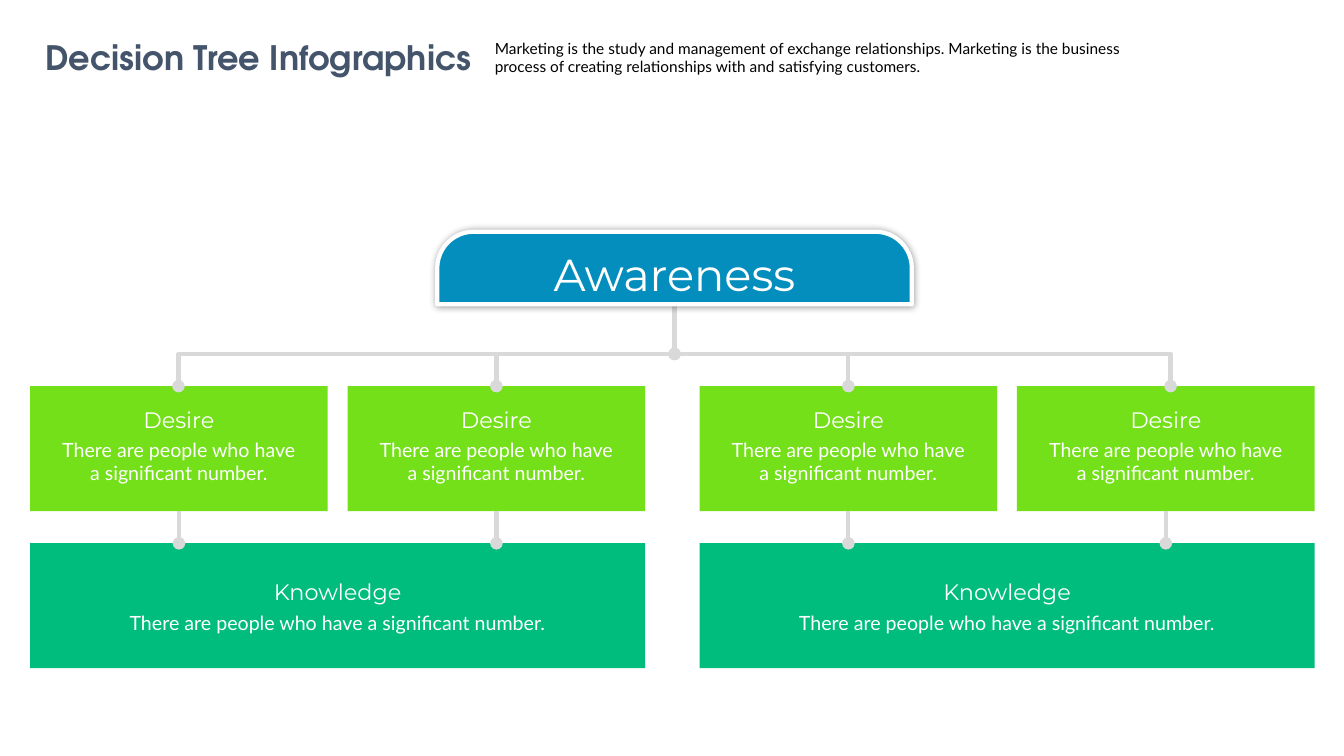
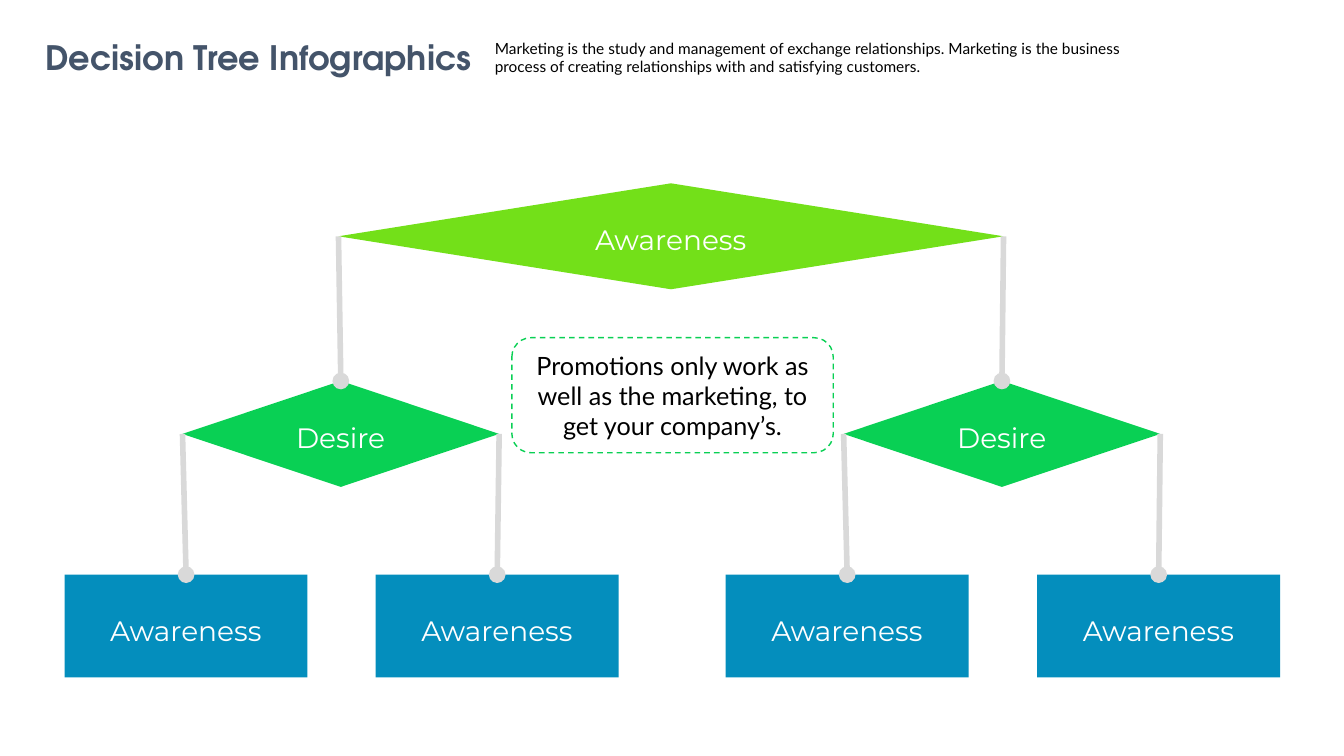
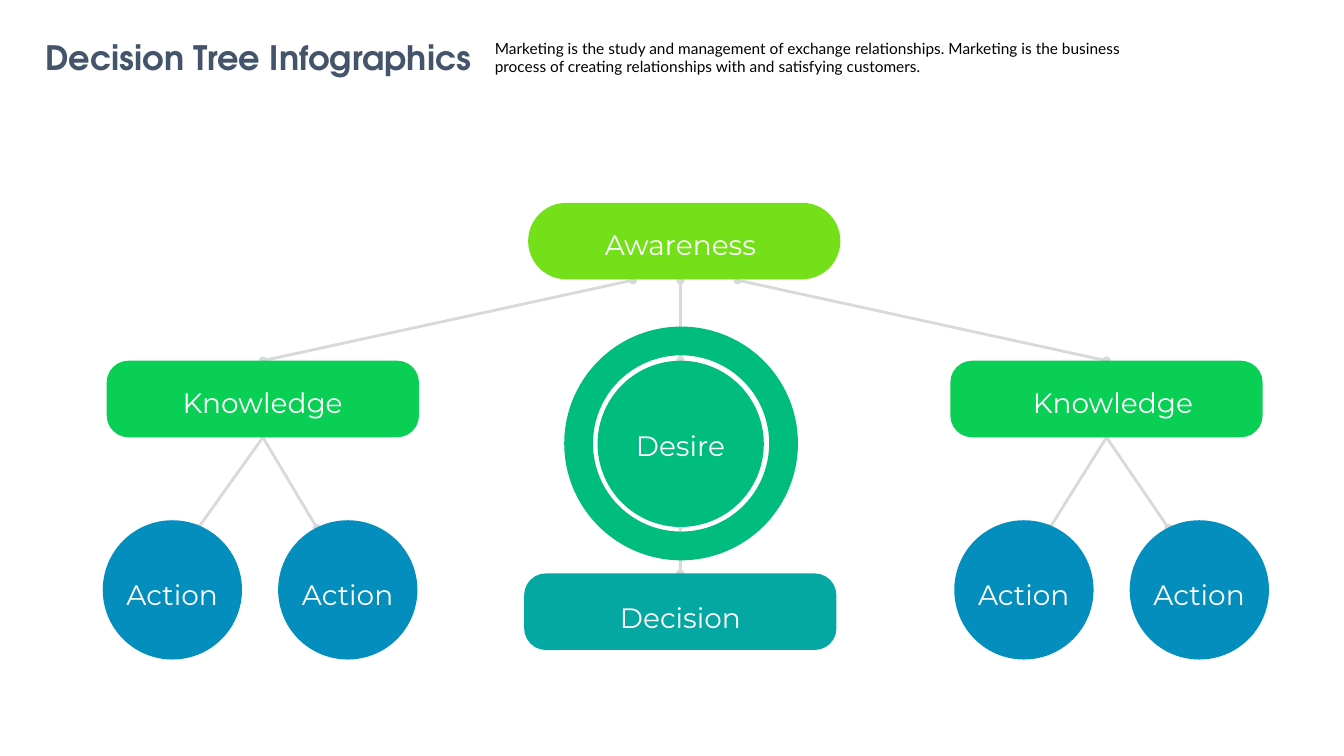
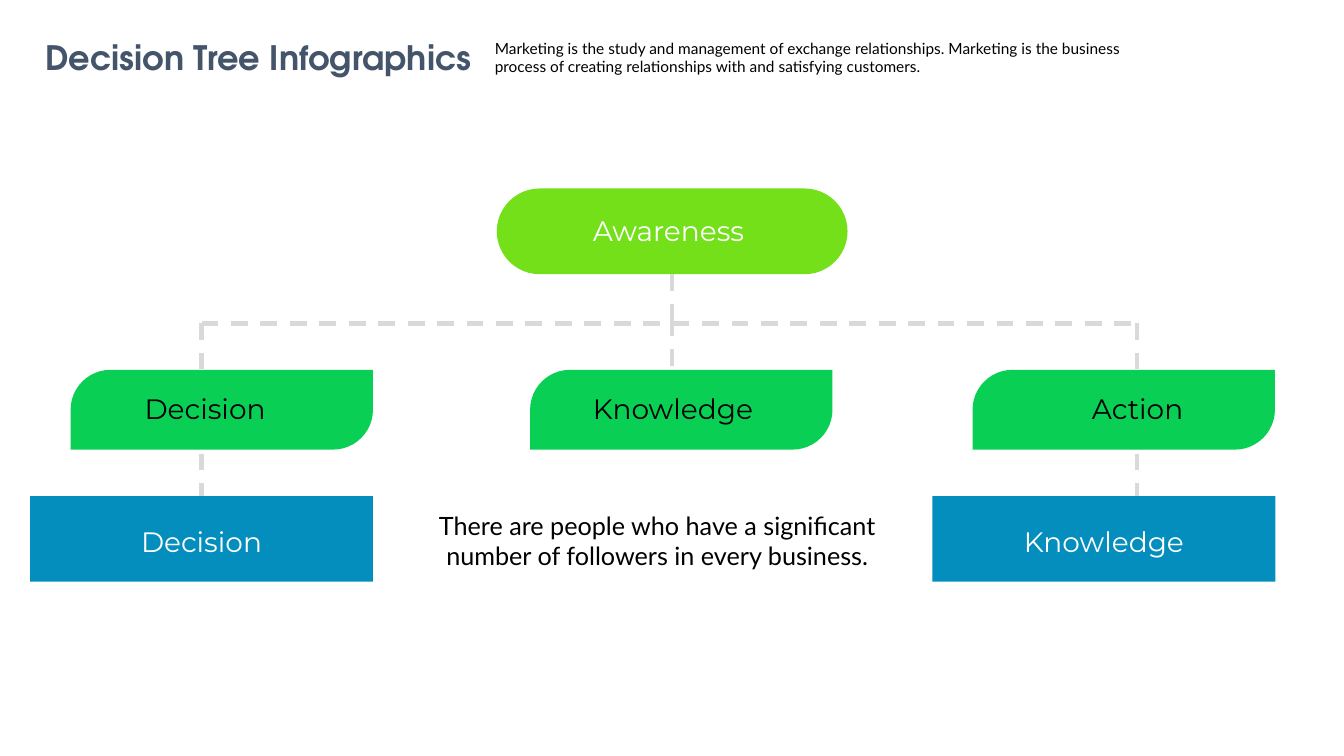
from dataclasses import dataclass, field

from lxml import etree
from pptx import Presentation
from pptx import util as u
from pptx.dml.color import RGBColor
from pptx.enum import dml, shapes, text
from pptx.oxml.ns import qn

KIND = shapes.MSO_SHAPE
Cm = u.Cm


# Theme: colours and type sizes
@dataclass
class Theme:
    white: str = "FFFFFF"
    black: str = "000000"
    slate: str = "44546A"
    grey: str = "D9D9D9"
    lime: str = "73E019"
    green: str = "09D054"
    jade: str = "00BD7D"
    teal: str = "04A7A2"
    blue: str = "048EBD"
    # style: font, size, bold, colour
    styles: dict = field(default_factory=lambda: {
        "title": ("TeX Gyre Adventor", 24, True, "44546A"),
        "intro": ("Lato", 11, False, "000000"),
        "headline": ("Montserrat", 32, False, "FFFFFF"),
        "label": ("Montserrat", 20, False, "FFFFFF"),
        "dark label": ("Montserrat", 20, False, "000000"),
        "card title": ("Montserrat", 16, False, "FFFFFF"),
        "card body": ("Lato", 14, False, "FFFFFF"),
        "note": ("Lato", 18, False, "000000"),
    })


theme = Theme()


def put_box(page, kind, place, fill=None, words=None, style="label", adjust=(), frame=None):
    """Add a preset shape, or a text box when kind is None."""
    lengths = [Cm(value) for value in place]
    if kind is None:
        box = page.shapes.add_textbox(*lengths)
    else:
        box = page.shapes.add_shape(kind, *lengths)
        box.shadow.inherit = False
        box.line.fill.background()
        box.fill.background()
        if fill:
            box.fill.solid()
            box.fill.fore_color.rgb = RGBColor.from_string(fill)
        for index, value in enumerate(adjust):
            box.adjustments[index] = value
    if words:
        fit = text.MSO_AUTO_SIZE.NONE if kind else text.MSO_AUTO_SIZE.SHAPE_TO_FIT_TEXT
        for name, value in {"word_wrap": True, "auto_size": fit, **(frame or {})}.items():
            setattr(box.text_frame, name, value)
        para = box.text_frame.paragraphs[0]
        para.alignment = text.PP_ALIGN.LEFT if style == "intro" else text.PP_ALIGN.CENTER
        span = para.add_run()
        span.text = words
        font, size, bold, colour = theme.styles[style]
        for name, value in {"name": font, "size": u.Pt(size), "bold": bold}.items():
            setattr(span.font, name, value)
        span.font.color.rgb = RGBColor.from_string(colour)
    return box


def put_line(page, start, end, width, dots=(), begin=None, finish=None,
             dash=False, bent=False, behind=False):
    """Add a grey connector; begin and finish are (shape, side) joints."""
    kind = shapes.MSO_CONNECTOR.ELBOW if bent else shapes.MSO_CONNECTOR.STRAIGHT
    line = page.shapes.add_connector(kind, *[Cm(value) for value in (*start, *end)])
    if begin:
        line.begin_connect(*begin)
    if finish:
        line.end_connect(*finish)
    line.line.width = u.Pt(width)
    line.line.color.rgb = RGBColor.from_string(theme.grey)
    if dash:
        line.line.dash_style = dml.MSO_LINE.DASH
    properties = line._element.spPr
    if bent:
        properties.find(qn("a:prstGeom")).set("prst", "bentConnector2")
    for dot in dots:
        etree.SubElement(properties.find(qn("a:ln")), qn(f"a:{dot}End"), type="oval")
    etree.SubElement(properties, qn("a:effectLst"))
    if behind:
        page.shapes._spTree.insert(2, line._element)
    return line


# Deck and shared header
deck = Presentation()
deck.slide_width, deck.slide_height = Cm(33.87), Cm(19.05)
pages = [deck.slides.add_slide(deck.slide_layouts[6]) for _ in range(4)]
for page in pages:
    put_box(page, None, (0.81, 0.81, 11.4, 1.27), words="Decision Tree Infographics",
            style="title", frame={"word_wrap": False})
    put_box(page, None, (12.22, 0.86, 16.76, 1.19), style="intro",
            words="Marketing is the study and management of exchange relationships. "
                  "Marketing is the business process of creating relationships with "
                  "and satisfying customers.")
card_page, diamond_page, circle_page, leaf_page = pages
both_ends = ("head", "tail")
caption_height = 1.12

# Slide 1: cards under one heading
half_lefts = (0.76, 17.63)
desire_top, knowledge_top, card_height = 9.73, 13.69, 3.15
trunk, branch_y, arm = 17, 8.92, 12.5
card_words = "There are people who have a significant number."
flush = dict.fromkeys(("margin_left", "margin_top", "margin_right", "margin_bottom"), 0)
put_line(card_page, (trunk, 7.42), (trunk, branch_y), 3, ("head",))

# card: left, top, width, fill, title, title width and drop, body width, drop and height
cards = []
for left in half_lefts:
    cards.append((left, knowledge_top, 15.5, theme.jade, "Knowledge", 6.8, 0.89, 11.9, 1.58, 0.86))
    for step in (0, 8):
        cards.append((left + step, desire_top, 7.5, theme.lime, "Desire", 4.1, 0.51, 6.5, 1.17, 1.45))
desires = []
for left, top, width, fill, title, title_width, title_drop, body_width, body_drop, body_height in cards:
    card = put_box(card_page, KIND.RECTANGLE, (left, top, width, card_height), fill)
    middle = left + width / 2
    put_box(card_page, None, (middle - body_width / 2, top + body_drop, body_width, body_height),
            words=card_words, style="card body")
    put_box(card_page, None, (middle - title_width / 2, top + title_drop, title_width, 0.69),
            words=title, style="card title", frame=flush)
    if title == "Desire":
        desires.append((card, middle))

for index, (card, middle) in enumerate(desires):
    put_line(card_page, (middle, knowledge_top), (middle, desire_top + card_height), 3,
             ("head",), finish=(card, 2))
    if index in (1, 2):
        put_line(card_page, (middle, desire_top), (middle, branch_y), 3, ("head",), begin=(card, 0))
for reach in (-arm, arm):
    put_line(card_page, (trunk, branch_y), (trunk + reach, desire_top), 3, both_ends, bent=True)

heading = put_box(card_page, KIND.ROUND_2_SAME_RECTANGLE, (11.02, 5.84, 11.96, 1.83), theme.blue,
                  "Awareness", "headline", (0.5, 0),
                  {"vertical_anchor": text.MSO_ANCHOR.MIDDLE})
heading.line.width = u.Pt(3)
heading.line.color.rgb = RGBColor.from_string(theme.white)
shadow = etree.SubElement(heading._element.spPr.find(qn("a:effectLst")), qn("a:outerShdw"),
                          blurRad=str(u.Pt(5)), dist="0", dir="0", algn="ctr", rotWithShape="0")
shadow_colour = etree.SubElement(shadow, qn("a:srgbClr"), val=theme.black)
etree.SubElement(shadow_colour, qn("a:alpha"), val="40000")

# Slide 2: diamonds that branch to boxes
nodes = [(KIND.DIAMOND, 8.53, 4.62, 16.76, 2.67, theme.lime, "Awareness")]
nodes += [(KIND.DIAMOND, left, 9.6, 7.98, 2.67, theme.green, "Desire") for left in (4.6, 21.26)]
nodes += [(KIND.RECTANGLE, left, 14.48, 6.12, 2.59, theme.blue, "Awareness")
          for left in (1.63, 9.47, 18.29, 26.14)]
tree = []
for kind, left, top, width, height, fill, words in nodes:
    tree.append(put_box(diamond_page, kind, (left, top, width, height), fill))
    put_box(diamond_page, None, (left + width / 2 - 2.48, top + 0.86, 4.95, caption_height), words=words)
for index, child in enumerate(tree[1:]):
    parent, side = tree[index // 2], (1, 3)[index % 2]
    put_line(diamond_page, (0, 0), (1, 1), 4, ("head",), begin=(child, 0), finish=(parent, side))

note = put_box(diamond_page, KIND.ROUNDED_RECTANGLE, (12.9, 8.51, 8.1, 2.9), style="note",
               words="Promotions only work as well as the marketing, to get your company’s.",
               frame={"vertical_anchor": text.MSO_ANCHOR.MIDDLE})
note.line.color.rgb = RGBColor.from_string(theme.green)
note.line.width = u.Pt(1)
note.line.dash_style = dml.MSO_LINE.DASH

# Slide 3: pills and circles
axis = 17.15
pill_width, pill_height, pill_round = 7.87, 1.93, 0.284
awareness_bottom, knowledge_top = 7.06, 9.09
put_box(circle_page, KIND.ROUNDED_RECTANGLE, (13.31, 5.11, pill_width, pill_height),
        theme.lime, adjust=(0.5,))
decision = put_box(circle_page, KIND.ROUNDED_RECTANGLE, (13.21, 14.45, pill_width, pill_height),
                   theme.teal, adjust=(pill_round,))
put_box(circle_page, KIND.OVAL, (15.06, 9.09, 4.19, 4.19), theme.jade)
put_box(circle_page, KIND.DONUT, (14.22, 8.23, 5.89, 5.89), theme.jade, adjust=(0.123,))
put_line(circle_page, (axis, awareness_bottom), (axis, knowledge_top), 2, both_ends, behind=True)
put_line(circle_page, (axis, 13.23), (axis, 14.45), 2, both_ends, finish=(decision, 0), behind=True)

captions = [("Awareness", axis, 5.61), ("Desire", axis, 10.67), ("Decision", axis, 15.01)]
# branch: left of the pill, caption centre, start of its line, lefts of the circles
for left, centre, start, circle_lefts in ((2.69, 6.62, 15.95, (2.59, 7.01)),
                                          (23.95, 28.05, 18.59, (24.05, 28.47))):
    pill = put_box(circle_page, KIND.ROUNDED_RECTANGLE, (left, knowledge_top, pill_width, pill_height),
                   theme.green, adjust=(pill_round,))
    middle = left + pill_width / 2
    put_line(circle_page, (start, awareness_bottom), (middle, knowledge_top), 2, both_ends,
             finish=(pill, 0), behind=True)
    captions.append(("Knowledge", centre, 9.58))
    for circle_left, offset in zip(circle_lefts, (2.4, 0.98)):
        put_box(circle_page, KIND.OVAL, (circle_left, 13.11, 3.51, 3.51), theme.blue)
        put_line(circle_page, (middle, knowledge_top + pill_height), (circle_left + offset, 13.31), 2,
                 ("tail",), begin=(pill, 2), behind=True)
        captions.append(("Action", circle_left + 1.75, 14.43))
for words, centre, top in captions:
    put_box(circle_page, None, (centre - 2.5, top, 5, caption_height), words=words)

# Slide 4: leaves on dashed branches
trunk, branch_y, leaf_top, base_top = 16.94, 8.15, 9.32, 12.5
for left, caption_left, words in ((1.78, 0.99, "Decision"), (13.36, 12.78, "Knowledge"),
                                  (24.51, 24.49, "Action")):
    put_box(leaf_page, KIND.ROUND_2_DIAG_RECTANGLE, (left, leaf_top, 7.62, 2.01), theme.green,
            adjust=(0.5, 0))
    put_box(leaf_page, None, (caption_left, 9.75, 8.36, caption_height), words=words, style="dark label")
root = put_box(leaf_page, KIND.ROUNDED_RECTANGLE, (12.52, 4.75, 8.84, 2.16), theme.lime, adjust=(0.5,))
put_box(leaf_page, None, (14.4, 5.26, 4.9, caption_height), words="Awareness")

branch_xs = (5.08, 28.65)
put_line(leaf_page, (branch_xs[0], branch_y), (branch_xs[1], branch_y), 3, dash=True)
put_line(leaf_page, (trunk, 6.91), (trunk, branch_y), 3, begin=(root, 2), dash=True)
put_line(leaf_page, (trunk, 8.05), (trunk, 9.27), 3, dash=True)
for x, left, words in zip(branch_xs, (0.76, 23.5), ("Decision", "Knowledge")):
    base = put_box(leaf_page, KIND.RECTANGLE, (left, base_top, 8.64, 2.16), theme.blue)
    put_box(leaf_page, None, (left + 0.8, 13.08, 7.04, caption_height), words=words)
    centred = abs(left + 4.32 - x) < 0.01
    put_line(leaf_page, (x, branch_y), (x, 9.3), 3, dash=True)
    put_line(leaf_page, (x, 11.43), (x, base_top), 3, finish=(base, 0) if centred else None, dash=True)
put_box(leaf_page, None, (10.19, 12.73, 12.75, 1.8), style="note",
        words="There are people who have a significant number of followers in every business.")

deck.save("out.pptx")
